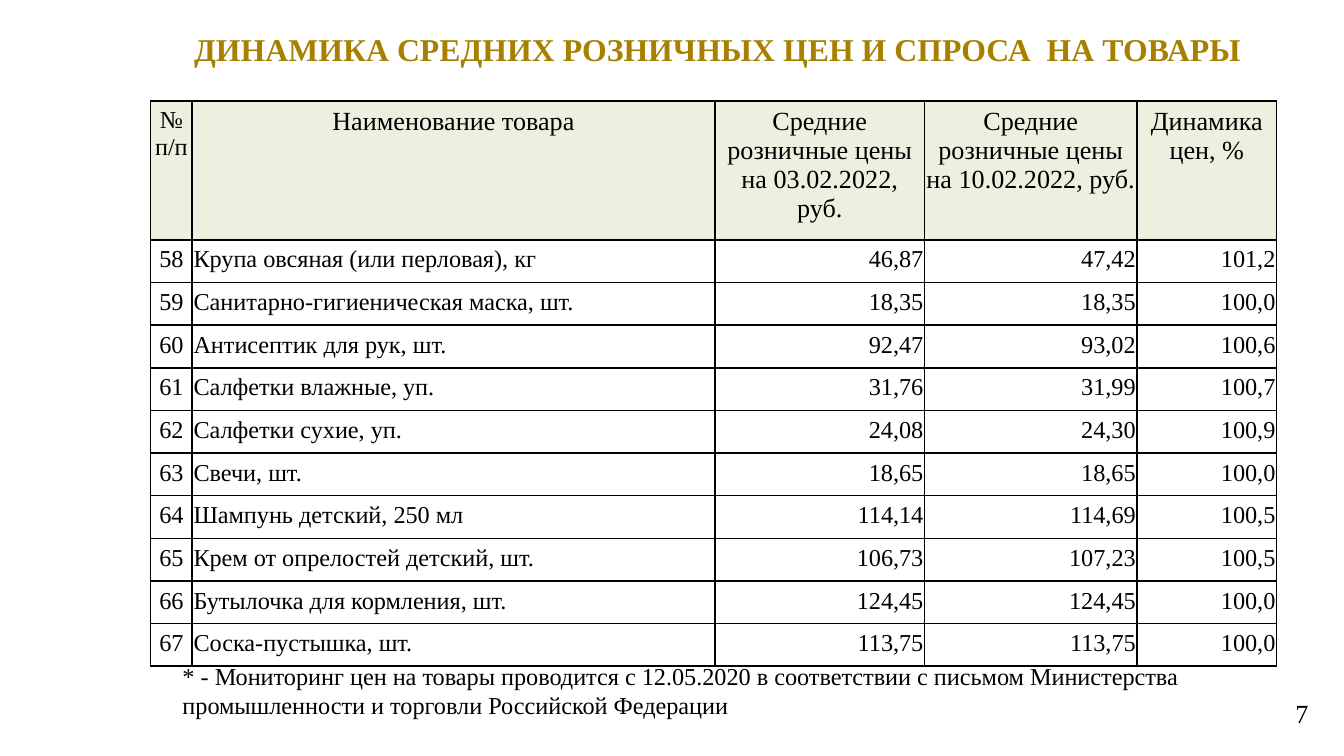
from lxml import etree
from pptx import Presentation
from pptx.dml.color import RGBColor
from pptx.enum import text as t
from pptx.oxml import ns
from pptx.util import Inches, Pt

GOLD = RGBColor(0xA8, 0x80, 0x00)
BLACK = RGBColor(0, 0, 0)
WHITE = RGBColor(255, 255, 255)
GREEN = RGBColor(0xEB, 0xF1, 0xDE)
FONT = "Times New Roman"
LEFT, MID, RIGHT = t.PP_ALIGN.LEFT, t.PP_ALIGN.CENTER, t.PP_ALIGN.RIGHT

HEADS = [
    "№ п/п", "Наименование товара",
    "Средние розничные цены на 03.02.2022, руб.",
    "Средние розничные цены на 10.02.2022, руб.",
    "Динамика цен, %",
]
GOODS = [
    ("Крупа овсяная (или перловая), кг", "46,87", "47,42", "101,2"),
    ("Санитарно-гигиеническая маска, шт.", "18,35", "18,35", "100,0"),
    ("Антисептик для рук, шт.", "92,47", "93,02", "100,6"),
    ("Салфетки влажные, уп.", "31,76", "31,99", "100,7"),
    ("Салфетки сухие, уп.", "24,08", "24,30", "100,9"),
    ("Свечи, шт.", "18,65", "18,65", "100,0"),
    ("Шампунь детский, 250 мл", "114,14", "114,69", "100,5"),
    ("Крем от опрелостей детский, шт.", "106,73", "107,23", "100,5"),
    ("Бутылочка для кормления, шт.", "124,45", "124,45", "100,0"),
    ("Соска-пустышка, шт.", "113,75", "113,75", "100,0"),
]
FIRST = 58
WIDTHS = [0.31, 3.89, 1.56, 1.58, 1.04]
ALIGNS = [MID, LEFT, RIGHT, RIGHT, RIGHT]


def write(frame, words, size=13, color=BLACK, bold=False, align=LEFT):
    frame.word_wrap = True
    para = frame.paragraphs[0]
    para.alignment = align
    run = para.add_run()
    run.text = words
    font = run.font
    font.name, font.size, font.bold = FONT, Pt(size), bold
    font.color.rgb = color
    end = etree.SubElement(para._p, ns.qn("a:endParaRPr"), sz=str(size * 100))
    etree.SubElement(end, ns.qn("a:latin"), typeface=FONT)


def add_title(slide, words):
    title = slide.shapes.title
    title.left, title.top = Inches(1.12), Inches(0.16)
    title.width, title.height = Inches(8.62), Inches(0.41)
    frame = title.text_frame
    frame.auto_size = t.MSO_AUTO_SIZE.NONE
    frame.vertical_anchor = t.MSO_ANCHOR.MIDDLE
    frame.margin_right = Inches(0.28)
    write(frame, words, size=17, color=GOLD, bold=True, align=MID)


def add_text(slide, box, words, **style):
    shape = slide.shapes.add_textbox(*map(Inches, box))
    write(shape.text_frame, words, **style)


def add_edges(cell):
    props = cell._tc.get_or_add_tcPr()
    for spot, side in enumerate(("lnL", "lnR", "lnT", "lnB")):
        line = etree.Element(ns.qn("a:" + side), w=str(Pt(0.96)))
        fill = etree.SubElement(line, ns.qn("a:solidFill"))
        etree.SubElement(fill, ns.qn("a:srgbClr"), val=str(BLACK))
        props.insert(spot, line)


def fill_cell(cell, words, back, **style):
    cell.margin_left = cell.margin_right = Inches(0.01)
    cell.margin_top = cell.margin_bottom = Inches(0.05)
    cell.fill.solid()
    cell.fill.fore_color.rgb = back
    add_edges(cell)
    write(cell.text_frame, words, **style)


def add_prices(slide):
    frame = slide.shapes.add_table(
        len(GOODS) + 1, len(HEADS),
        Inches(1.12), Inches(0.75), Inches(sum(WIDTHS)), Inches(3.79))
    table = frame.table
    table.horz_banding = False
    for col, width in zip(table.columns, WIDTHS):
        col.width = Inches(width)
    for row in table.rows:
        row.height = Inches(0.31)
    table.rows[0].height = Inches(0.71)
    for c, head in enumerate(HEADS):
        fill_cell(table.cell(0, c), head, GREEN, size=14 if c else 13, align=MID)
    for r, goods in enumerate(GOODS):
        for c, words in enumerate((str(FIRST + r), *goods)):
            fill_cell(table.cell(r + 1, c), words, WHITE, align=ALIGNS[c])


def main():
    deck = Presentation()
    deck.slide_width = Inches(10)
    deck.slide_height = deck.slide_width * 9 // 16
    slide = deck.slides.add_slide(deck.slide_layouts[5])
    add_title(slide, "ДИНАМИКА СРЕДНИХ РОЗНИЧНЫХ ЦЕН И СПРОСА  НА ТОВАРЫ")
    add_text(slide, (9.54, 5.14, 0.25, 0.46), "7", size=14, align=RIGHT)
    add_prices(slide)
    add_text(
        slide, (1.26, 4.87, 8.3, 0.53),
        "* - Мониторинг цен на товары проводится с 12.05.2020 в соответствии "
        "с письмом Министерства промышленности и торговли Российской Федерации")
    deck.save("out.pptx")


if __name__ == "__main__":
    main()
